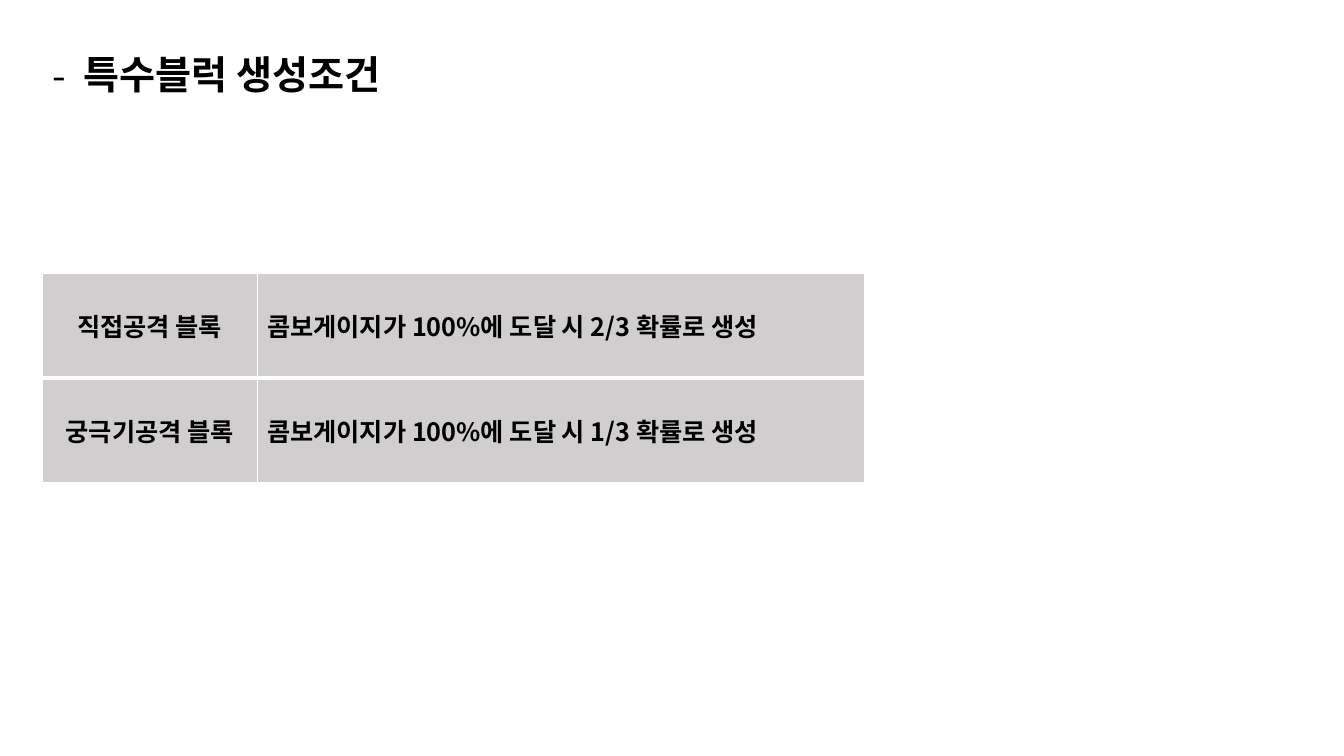
from pptx import Presentation
from pptx.dml.color import RGBColor
from pptx.enum.text import MSO_ANCHOR, MSO_AUTO_SIZE, PP_ALIGN
from pptx.oxml.ns import qn
from pptx.util import Inches, Pt
from lxml.etree import SubElement

FONT = "Noto Sans CJK KR"
BLOCK_CONDITIONS = [
    ("직접공격 블록", "콤보게이지가 100%에 도달 시 2/3 확률로 생성"),
    ("궁극기공격 블록", "콤보게이지가 100%에 도달 시 1/3 확률로 생성"),
]
COLUMN_WIDTHS = (2.13, 6.03)


def color(value):
    """Return the colour for a hex string."""
    return RGBColor.from_string(value)


def write_text(paragraph, text, size):
    """Add a bold black run in the slide font."""
    run = paragraph.add_run()
    run.text = text
    for name, value in {"name": FONT, "size": Pt(size), "bold": True}.items():
        setattr(run.font, name, value)
    run.font.color.rgb = color("000000")
    SubElement(run.font._element, qn("a:ea"), typeface=FONT)


def add_title(slide, left, top, width, height):
    """Place the title with its dash bullet."""
    shape = slide.shapes.add_textbox(*map(Inches, (left, top, width, height)))
    frame = shape.text_frame
    for name, value in {"word_wrap": True, "auto_size": MSO_AUTO_SIZE.SHAPE_TO_FIT_TEXT}.items():
        setattr(frame, name, value)
    paragraph = frame.paragraphs[0]
    write_text(paragraph, "특수블럭 생성조건", 28)
    properties = paragraph._p.get_or_add_pPr()
    properties.set("marL", str(Inches(0.31)))
    properties.set("indent", str(Inches(-0.31)))
    SubElement(properties, qn("a:buFont"), typeface=FONT)
    SubElement(properties, qn("a:buChar"), char="-")


def add_borders(cell, widths):
    """Draw white cell borders with the given widths in points."""
    properties = cell._tc.get_or_add_tcPr()
    for side, width in widths.items():
        line = SubElement(properties, qn(f"a:ln{side}"), w=str(Pt(width)))
        fill = SubElement(line, qn("a:solidFill"))
        SubElement(fill, qn("a:srgbClr"), val="FFFFFF")


def add_condition_table(slide, left, top, width, height):
    """Place the table of block types and their conditions."""
    frame = slide.shapes.add_table(
        len(BLOCK_CONDITIONS), len(COLUMN_WIDTHS), *map(Inches, (left, top, width, height))
    )
    table = frame.table
    for name in ("first_row", "horz_banding"):
        setattr(table, name, False)
    for column, column_width in zip(table.columns, COLUMN_WIDTHS):
        column.width = Inches(column_width)
    for row, texts in enumerate(BLOCK_CONDITIONS):
        table.rows[row].height = Inches(height / len(BLOCK_CONDITIONS))
        for column, text in enumerate(texts):
            cell = table.cell(row, column)
            cell.vertical_anchor = MSO_ANCHOR.MIDDLE
            add_borders(cell, {"L": 1, "R": 1, "T": 3 if row else 1, "B": 1 if row else 3})
            cell.fill.solid()
            cell.fill.fore_color.rgb = color("D0CECE")
            paragraph = cell.text_frame.paragraphs[0]
            paragraph.alignment = PP_ALIGN.LEFT if column else PP_ALIGN.CENTER
            write_text(paragraph, text, 18)


def main():
    """Build and save the slide."""
    presentation = Presentation()
    presentation.slide_width = Inches(13.33)
    presentation.slide_height = Inches(7.5)
    slide = presentation.slides.add_slide(presentation.slide_layouts[6])
    add_title(slide, 0.42, 0.45, 12.39, 0.57)
    add_condition_table(slide, 0.42, 2.71, sum(COLUMN_WIDTHS), 2.08)
    presentation.save("out.pptx")


if __name__ == "__main__":
    main()
